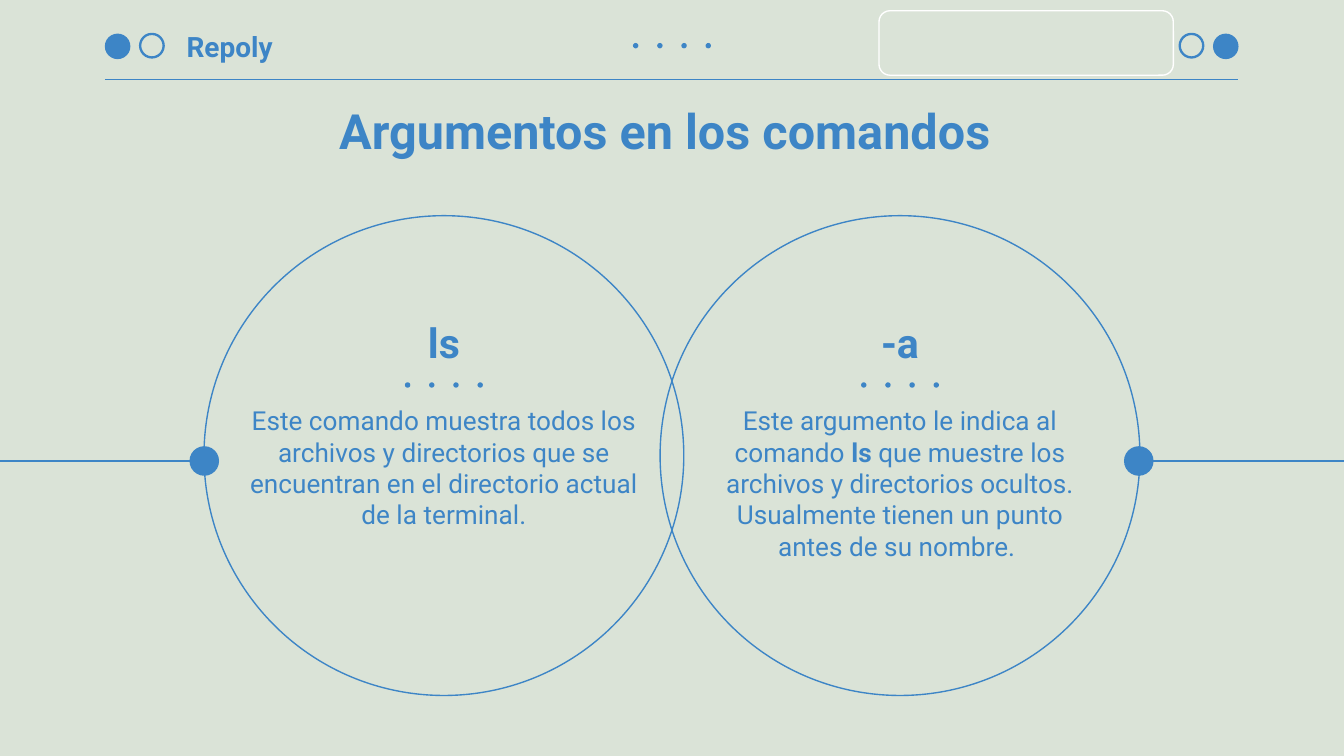
from pptx import Presentation
from pptx.dml.color import RGBColor
from pptx.enum.shapes import MSO_CONNECTOR, MSO_SHAPE
from pptx.enum.text import MSO_ANCHOR, PP_ALIGN
from pptx.oxml.ns import qn
from pptx.util import Inches, Pt
from lxml import etree

BLUE = RGBColor(0x3D, 0x85, 0xC6)
SAGE = RGBColor(0xDA, 0xE3, 0xD7)
WHITE = RGBColor(0xFF, 0xFF, 0xFF)

OVAL = MSO_SHAPE.OVAL
ROUND = MSO_SHAPE.ROUNDED_RECTANGLE
STRAIGHT = MSO_CONNECTOR.STRAIGHT
LEFT, CENTER = PP_ALIGN.LEFT, PP_ALIGN.CENTER
TOP, MIDDLE = MSO_ANCHOR.TOP, MSO_ANCHOR.MIDDLE

COLS = 100  # square grid cells across the slide


class Board:
    """Style and current slide; lengths are in grid cells."""
    font = "Roboto"
    thin = 0.75

    def __init__(self, deck):
        self.cell = deck.slide_width / COLS
        self.slide = deck.slides.add_slide(deck.slide_layouts[6])
        self.shapes = self.slide.shapes
        fill = self.slide.background.fill
        fill.solid()
        fill.fore_color.rgb = SAGE

    def grid(self, *cells):
        return [round(c * self.cell) for c in cells]

    def shape(self, kind, x, y, w, h, fill=None, line=None, width=thin):
        item = self.shapes.add_shape(kind, *self.grid(x, y, w, h))
        item.shadow.inherit = False
        if fill is None:
            item.fill.background()
        else:
            item.fill.solid()
            item.fill.fore_color.rgb = fill
        if line is None:
            item.line.fill.background()
        else:
            item.line.color.rgb = line
            item.line.width = Pt(width)
        return item

    def disc(self, x, y, size, **look):
        """A circle placed by its centre."""
        self.shape(OVAL, x - size / 2, y - size / 2, size, size, **look)

    def dots(self, x, y, count=4, gap=1.8):
        """A row of small dots centred on a point."""
        for i in range(count):
            self.disc(x + (i - (count - 1) / 2) * gap, y, 0.4, fill=BLUE)

    def line(self, x1, x2, y):
        item = self.shapes.add_connector(STRAIGHT, *self.grid(x1, y, x2, y))
        item.line.color.rgb = BLUE
        item.line.width = Pt(self.thin)
        etree.SubElement(item._element.spPr, qn("a:effectLst"))

    def text(self, x, y, w, h, runs, size, align=CENTER, anchor=TOP, after=0):
        """One paragraph of (text, bold) runs."""
        frame = self.shapes.add_textbox(*self.grid(x, y, w, h)).text_frame
        frame.word_wrap = True
        frame.vertical_anchor = anchor
        frame.margin_left = frame.margin_right = Inches(0.1)
        frame.margin_top = frame.margin_bottom = Inches(0.1)
        para = frame.paragraphs[0]
        para.alignment = align
        para.space_after = Pt(after)
        for words, bold in runs:
            run = para.add_run()
            run.text = words
            font = run.font
            font.name, font.size, font.bold = self.font, Pt(size), bold
            font.color.rgb = BLUE


def main():
    deck = Presentation()
    deck.slide_width = Inches(10)
    deck.slide_height = deck.slide_width * 9 // 16
    board = Board(deck)

    # Header bar
    board.line(7.8, 92.1, 5.9)
    for disc, ring in ((8.75, 11.3), (91.2, 88.65)):
        board.disc(ring, 3.4, 1.75, line=BLUE, width=1.25)
        board.disc(disc, 3.45, 1.9, fill=BLUE)
    board.text(12.9, 1.6, 10.8, 3.7, [("Repoly", True)], 15, LEFT, MIDDLE)
    board.dots(50, 3.4)

    # Two crossing circles, each tied to a slide edge
    mids = (33.03, 66.97)
    for mid in mids:
        board.disc(mid, 33.9, 35.7, line=BLUE)
    for edge, knot in ((0, 15.2), (COLS, 84.73)):
        board.line(edge, knot, 34.3)
        board.disc(knot, 34.3, 2.2, fill=BLUE)

    # Title
    board.text(6.8, 6.5, 85.4, 7.1, [("Argumentos en los comandos", True)], 26)

    # Heading, dots and description inside each circle
    notes = (
        ("ls", [("Este comando muestra todos los archivos y directorios que "
                 "se encuentran en el directorio actual de la terminal.",
                 False)]),
        ("-a", [("Este argumento le indica al comando ", False),
                ("ls ", True),
                ("que muestre los archivos y directorios ocultos. "
                 "Usualmente tienen un punto antes de su nombre. ", False)]),
    )
    for mid, (head, body) in zip(mids, notes):
        board.text(mid - 15.5, 22.6, 31, 5.6, [(head, True)], 22)
        board.text(mid - 15.5, 29.1, 31, 15.5, body, 14, after=16)
        board.dots(mid, 28.65)

    # Outlined label box in the header
    box = board.shape(ROUND, 65.4, 0.8, 21.9, 4.8, fill=SAGE, line=WHITE)
    box.adjustments[0] = 0.17

    deck.save("out.pptx")


if __name__ == "__main__":
    main()
